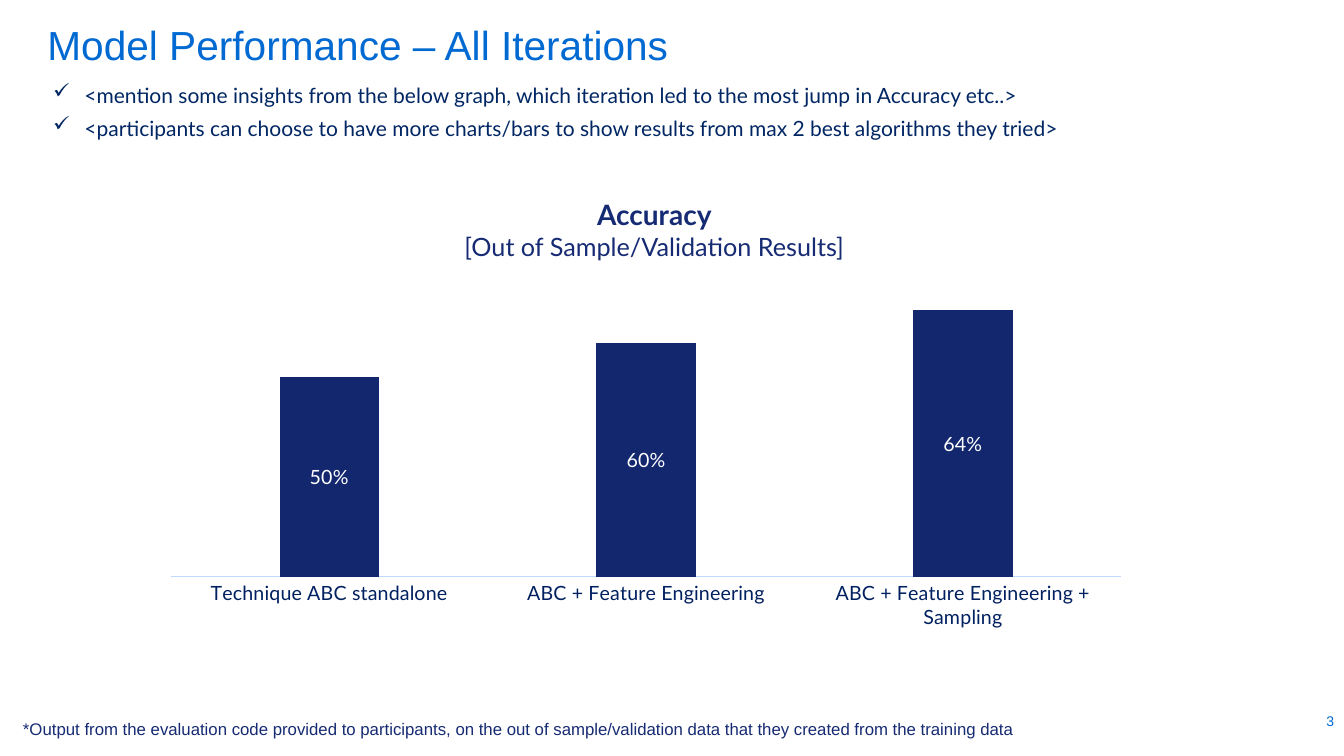
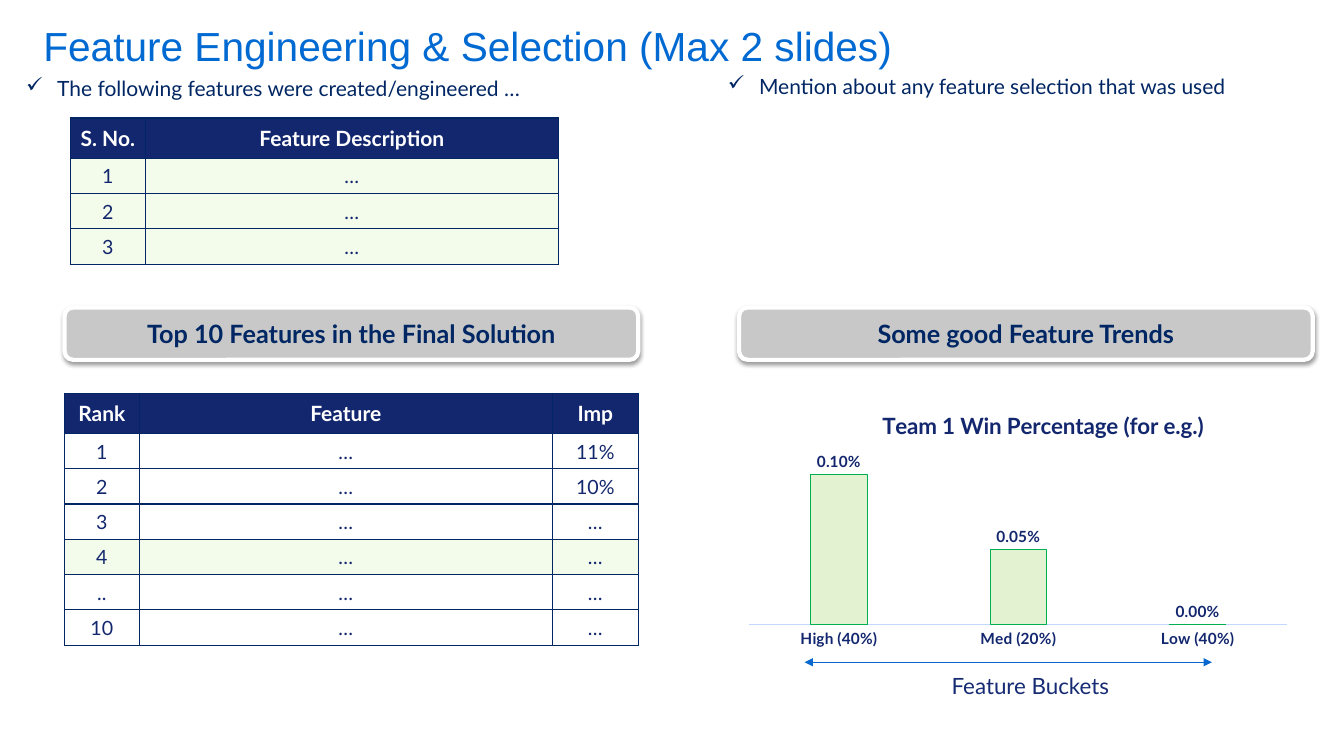
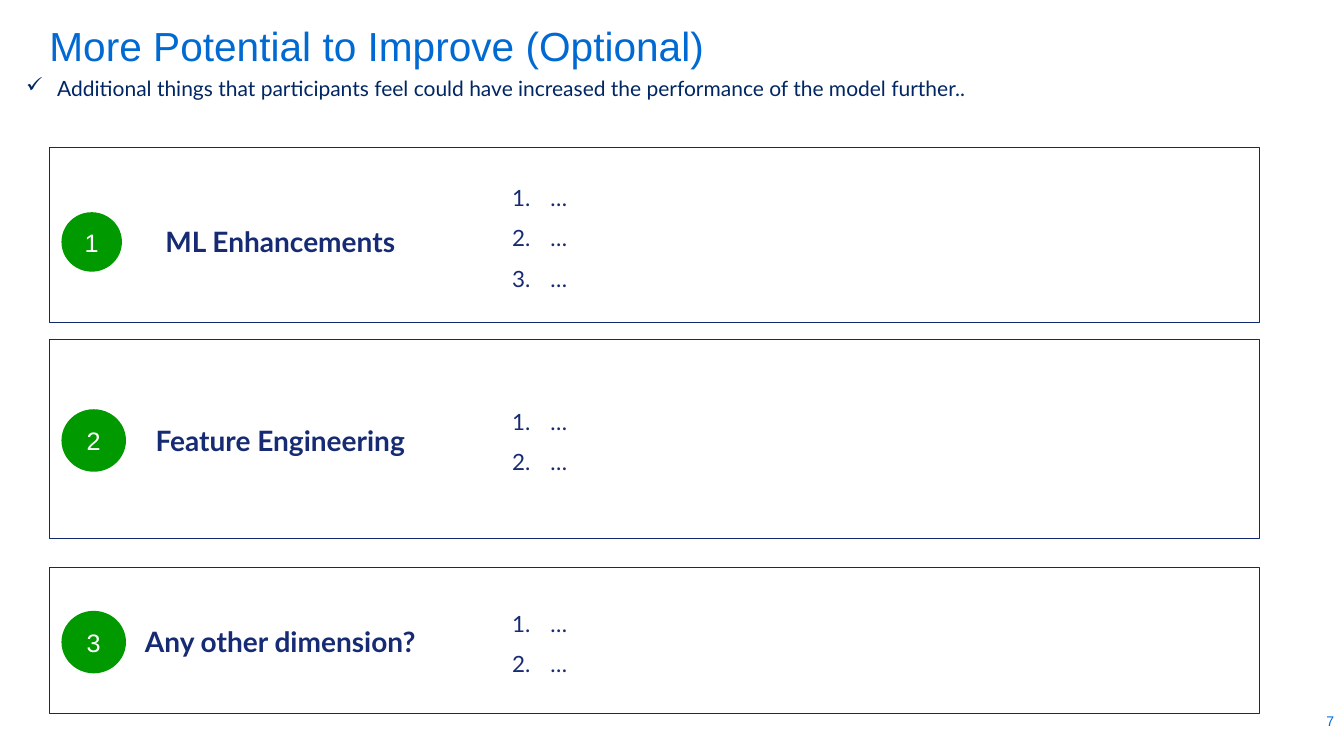
from lxml.etree import SubElement
from pptx import Presentation
from pptx.chart.data import CategoryChartData
from pptx.dml.color import RGBColor
from pptx.enum.chart import XL_CHART_TYPE, XL_LABEL_POSITION, XL_TICK_MARK
from pptx.enum.shapes import MSO_CONNECTOR, MSO_SHAPE
from pptx.enum.text import MSO_ANCHOR, MSO_AUTO_SIZE, PP_ALIGN
from pptx.oxml import parse_xml
from pptx.oxml.ns import nsdecls, qn
from pptx.util import Inches, Pt

BRIGHT_BLUE = RGBColor(0x00, 0x6A, 0xD2)
ARROW_BLUE = RGBColor(0x09, 0x68, 0xCE)
AXIS_BLUE = RGBColor(0xC1, 0xD9, 0xFF)
INK = RGBColor(0x00, 0x26, 0x63)
AXIS_INK = RGBColor(0x00, 0x20, 0x60)
NAVY = RGBColor(0x13, 0x27, 0x6E)
INDIGO = RGBColor(0x16, 0x2B, 0x73)
WHITE = RGBColor(0xFF, 0xFF, 0xFF)
GREY = RGBColor(0xC7, 0xC8, 0xC7)
PALE_GREEN = RGBColor(0xF3, 0xFB, 0xEB)
BAR_GREEN = RGBColor(0xE3, 0xF3, 0xD1)
EDGE_GREEN = RGBColor(0x00, 0xB0, 0x50)
BADGE_GREEN = RGBColor(0x00, 0x99, 0x00)
HEADING_FONT = "Arial"
BODY_FONT = "Lato"
CENTER = PP_ALIGN.CENTER


def style_font(font, size, color, name=BODY_FONT, bold=False):
    font.size = Pt(size)
    font.color.rgb = color
    font.name = name
    font.bold = bold


def write(shape, lines, size, color, name=BODY_FONT, bold=False, align=PP_ALIGN.LEFT,
          anchor=MSO_ANCHOR.TOP, inset=None):
    frame = shape.text_frame
    frame.text = "\n".join(lines)
    frame.word_wrap = True
    frame.auto_size = MSO_AUTO_SIZE.NONE
    frame.vertical_anchor = anchor
    if inset is not None:
        frame.margin_left = frame.margin_right = Inches(inset)
        frame.margin_top = frame.margin_bottom = Inches(inset)
    for paragraph in frame.paragraphs:
        paragraph.alignment = align
        for run in paragraph.runs:
            style_font(run.font, size, color, name, bold)
    return frame


def add_text(slide, box, lines, size, color, **options):
    textbox = slide.shapes.add_textbox(*map(Inches, box))
    return write(textbox, lines, size, color, **options)


def hang(paragraph, indent, tag, **attributes):
    properties = paragraph._p.get_or_add_pPr()
    properties.set("marL", str(Inches(indent)))
    properties.set("indent", str(-Inches(indent)))
    SubElement(properties, qn(tag), attributes)


def add_titled_slide(deck, title, left, top):
    slide = deck.slides.add_slide(deck.slide_layouts[5])
    heading = slide.shapes.title
    heading.left, heading.top = Inches(left), Inches(top)
    heading.width, heading.height = Inches(12), Inches(0.44)
    frame = write(heading, [title], 29, BRIGHT_BLUE, name=HEADING_FONT, inset=0)
    frame.paragraphs[0].line_spacing = 0.82
    return slide


def add_page_number(slide, number):
    add_text(slide, (12.18, 6.99, 1.15, 0.33), [number], 10, BRIGHT_BLUE,
             name=HEADING_FONT, align=PP_ALIGN.RIGHT, anchor=MSO_ANCHOR.MIDDLE)


def add_checks(slide, box, lines):
    for paragraph in add_text(slide, box, lines, 15, INK).paragraphs:
        paragraph.line_spacing = 1.1
        paragraph.space_after = Pt(4)
        hang(paragraph, 0.31, "a:buChar", char="✓")


def add_panel(slide, box, number, heading, item_count, row_middle, badge_size):
    left, top, width, height = box
    outline = slide.shapes.add_shape(MSO_SHAPE.RECTANGLE, *map(Inches, box))
    outline.shadow.inherit = False
    outline.fill.background()
    outline.line.color.rgb = NAVY
    outline.line.width = Pt(0.75)

    badge_width, badge_height = badge_size
    badge = slide.shapes.add_shape(
        MSO_SHAPE.OVAL, Inches(left + 0.12), Inches(row_middle - badge_height / 2),
        Inches(badge_width), Inches(badge_height))
    badge.shadow.inherit = False
    badge.fill.solid()
    badge.fill.fore_color.rgb = BADGE_GREEN
    badge.line.fill.background()
    write(badge, [number], 18, WHITE, name=HEADING_FONT, align=CENTER,
          anchor=MSO_ANCHOR.MIDDLE)

    add_text(slide, (left + 0.14, row_middle - 0.22, 4.3, 0.44), [heading], 20, INDIGO,
             bold=True, align=CENTER)
    list_height = 0.39 * item_count
    list_top = top + height / 2 - 0.05 - list_height / 2
    items = add_text(slide, (left + 4.59, list_top, 7.22, list_height),
                     ["…"] * item_count, 16, INDIGO, inset=0)
    for paragraph in items.paragraphs:
        paragraph.line_spacing = 1.5
        hang(paragraph, 0.38, "a:buAutoNum", type="arabicPeriod")


def add_banner(slide, box, caption):
    banner = slide.shapes.add_shape(MSO_SHAPE.ROUNDED_RECTANGLE, *map(Inches, box))
    banner.shadow.inherit = False
    banner.fill.solid()
    banner.fill.fore_color.rgb = GREY
    banner.line.color.rgb = WHITE
    banner.line.width = Pt(3)
    effects = banner._element.spPr.find(qn("a:effectLst"))
    shadow = SubElement(effects, qn("a:outerShdw"), blurRad=str(Pt(3.1)),
                        dist=str(Pt(1.6)), dir="5400000", rotWithShape="0")
    black = SubElement(shadow, qn("a:srgbClr"), val="000000")
    SubElement(black, qn("a:alpha"), val="38000")
    write(banner, [caption], 18, INK, bold=True, align=CENTER, anchor=MSO_ANCHOR.MIDDLE)


def add_borders(cell):
    properties = cell._tc.get_or_add_tcPr()
    for position, side in enumerate(("L", "R", "T", "B")):
        properties.insert(position, parse_xml(
            f'<a:ln{side} {nsdecls("a")} w="{Pt(1)}"><a:solidFill>'
            f'<a:srgbClr val="{INK}"/></a:solidFill></a:ln{side}>'))


def add_feature_table(slide, left, top, widths, rows, green_rows):
    heights = [0.4] + [0.35] * (len(rows) - 1)
    table = slide.shapes.add_table(len(rows), len(widths), Inches(left), Inches(top),
                                   Inches(sum(widths)), Inches(sum(heights))).table
    table.horz_banding = False
    for column, width in zip(table.columns, widths):
        column.width = Inches(width)
    for index, (row, height, values) in enumerate(zip(table.rows, heights, rows)):
        row.height = Inches(height)
        for cell, value in zip(row.cells, values):
            header = index == 0
            cell.text = value
            cell.vertical_anchor = MSO_ANCHOR.MIDDLE
            cell.margin_left = cell.margin_right = cell.margin_top = Inches(0.01)
            cell.margin_bottom = 0
            paragraph = cell.text_frame.paragraphs[0]
            paragraph.alignment = CENTER
            style_font(paragraph.runs[0].font, 15 if header else 14,
                       WHITE if header else NAVY, bold=header)
            if header or index in green_rows:
                cell.fill.solid()
                cell.fill.fore_color.rgb = NAVY if header else PALE_GREEN
            else:
                cell.fill.background()
            add_borders(cell)


def place_in_chart(element, position, **fractions):
    for layout in element.findall(qn("c:layout")):
        element.remove(layout)
    layout = element.makeelement(qn("c:layout"))
    element.insert(position, layout)
    manual = SubElement(layout, qn("c:manualLayout"))
    if "w" in fractions:
        SubElement(manual, qn("c:layoutTarget"), val="inner")
    for axis in ("x", "y"):
        SubElement(manual, qn(f"c:{axis}Mode"), val="edge")
    for key, fraction in fractions.items():
        SubElement(manual, qn(f"c:{key}"), val=str(fraction))


def add_columns(slide, box, categories, values, maximum, color, plot_box):
    data = CategoryChartData(number_format="0.00%")
    data.categories = categories
    data.add_series("Series 1", values)
    chart = slide.shapes.add_chart(XL_CHART_TYPE.COLUMN_CLUSTERED,
                                   *map(Inches, box), data).chart
    chart.has_legend = False
    chart.has_title = False
    style_font(chart.font, 10, INK, HEADING_FONT)
    value_axis = chart.value_axis
    value_axis.visible = False
    value_axis.has_major_gridlines = False
    value_axis.minimum_scale = 0
    value_axis.maximum_scale = maximum
    value_axis.tick_labels.number_format = "0.00%"
    value_axis.tick_labels.number_format_is_linked = False
    category_axis = chart.category_axis
    category_axis.major_tick_mark = XL_TICK_MARK.NONE
    category_axis.format.line.color.rgb = AXIS_BLUE
    category_axis.format.line.width = Pt(0.75)
    plot = chart.plots[0]
    plot.gap_width = 219
    plot.overlap = -27
    plot.vary_by_categories = False
    bars = plot.series[0]
    bars.format.fill.solid()
    bars.format.fill.fore_color.rgb = color
    labels = bars.data_labels
    labels.show_value = True
    labels.number_format = "0.00%"
    labels.number_format_is_linked = False
    place_in_chart(chart.element.find(".//" + qn("c:plotArea")), 0,
                   **dict(zip("xywh", plot_box)))
    return chart


def add_accuracy_chart(slide, box):
    chart = add_columns(
        slide, box,
        ["Technique ABC standalone", "ABC + Feature Engineering",
         "ABC + Feature Engineering + Sampling"],
        [0.0006, 0.0007, 0.0008], 0.0009, NAVY, (0.02, 0.04, 0.97, 0.78))
    style_font(chart.category_axis.tick_labels.font, 14, AXIS_INK)
    bars = chart.plots[0].series[0]
    bars.data_labels.position = XL_LABEL_POSITION.CENTER
    style_font(bars.data_labels.font, 14, WHITE)
    for index, share in enumerate(("50%", "60%", "64%")):
        label = bars.points[index].data_label
        label.text_frame.text = share
        style_font(label.text_frame.paragraphs[0].runs[0].font, 14, WHITE)
        label.position = XL_LABEL_POSITION.CENTER


def add_trend_chart(slide, box):
    chart = add_columns(
        slide, box, ["High (40%)", "Med (20%)", "Low (40%)"],
        [0.001, 0.0005, 0], 0.0012, BAR_GREEN, (0.02, 0.2, 0.96, 0.69))
    style_font(chart.category_axis.tick_labels.font, 11, NAVY, bold=True)
    bars = chart.plots[0].series[0]
    bars.format.line.color.rgb = EDGE_GREEN
    bars.format.line.width = Pt(0.75)
    bars.data_labels.position = XL_LABEL_POSITION.OUTSIDE_END
    style_font(bars.data_labels.font, 11, NAVY, bold=True)
    title = chart.chart_title
    title.text_frame.text = "Team 1 Win Percentage (for e.g.)"
    style_font(title.text_frame.paragraphs[0].runs[0].font, 16, NAVY, bold=True)
    place_in_chart(title.element, 1, x=0.25, y=0.05)


def add_bucket_arrow(slide, left, right, top):
    arrow = slide.shapes.add_connector(MSO_CONNECTOR.STRAIGHT, Inches(left), Inches(top),
                                       Inches(right), Inches(top))
    arrow.line.color.rgb = ARROW_BLUE
    arrow.line.width = Pt(1)
    line = arrow.line._get_or_add_ln()
    for end in ("a:headEnd", "a:tailEnd"):
        SubElement(line, qn(end), type="triangle")
    SubElement(arrow._element.spPr, qn("a:effectLst"))


def build_performance(deck):
    slide = add_titled_slide(deck, "Model Performance – All Iterations", 0.47, 0.28)
    add_checks(slide, (0.43, 0.74, 12.9, 0.7), [
        "<mention some insights from the below graph, which iteration led to the most "
        "jump in Accuracy etc..>",
        "<participants can choose to have more charts/bars to show results from max 2 "
        "best algorithms they tried>"])
    caption = add_text(slide, (3.46, 1.96, 6.06, 0.64),
                       ["Accuracy", "[Out of Sample/Validation Results]"], 18, INDIGO,
                       align=CENTER, inset=0)
    style_font(caption.paragraphs[0].runs[0].font, 20, INDIGO, bold=True)
    add_accuracy_chart(slide, (1.5, 2.59, 9.72, 3.82))
    add_text(slide, (0.13, 7.14, 10.76, 0.18), [
        "*Output from the evaluation code provided to participants, on the out of "
        "sample/validation data that they created from the training data"],
        12, INDIGO, name=HEADING_FONT, anchor=MSO_ANCHOR.MIDDLE)
    add_page_number(slide, "3")


def build_features(deck):
    slide = add_titled_slide(deck, "Feature Engineering & Selection (Max 2 slides)", 0.43, 0.29)
    add_checks(slide, (0.16, 0.68, 6.5, 0.36),
               ["The following features were created/engineered …"])
    add_checks(slide, (7.12, 0.66, 5.76, 0.36),
               ["Mention about any feature selection that was used"])
    add_feature_table(slide, 0.7, 1.17, [0.74, 4.1],
                      [("S. No.", "Feature Description"), ("1", "…"), ("2", "…"), ("3", "…")],
                      green_rows=(1, 2, 3))
    add_banner(slide, (0.64, 3.05, 5.69, 0.52), "Top 10 Features in the Final Solution")
    add_banner(slide, (7.33, 3.05, 5.69, 0.52), "Some good Feature Trends")
    add_feature_table(slide, 0.64, 3.9, [0.74, 4.1, 0.85],
                      [("Rank", "Feature", "Imp"), ("1", "…", "11%"), ("2", "…", "10%"),
                       ("3", "…", "…"), ("4", "…", "…"), ("..", "…", "…"), ("10", "…", "…")],
                      green_rows=(4,))
    add_trend_chart(slide, (7.32, 3.9, 5.56, 2.58))
    add_bucket_arrow(slide, 7.98, 12.02, 6.57)
    add_text(slide, (8.85, 6.65, 2.74, 0.31), ["Feature Buckets"], 16, INDIGO,
             align=CENTER, anchor=MSO_ANCHOR.MIDDLE)


def build_improvements(deck):
    slide = add_titled_slide(deck, "More Potential to Improve (Optional)", 0.49, 0.29)
    add_checks(slide, (0.16, 0.68, 13.17, 0.36), [
        "Additional things that participants feel could have increased the performance "
        "of the model further.."])
    panels = [
        (1.46, 1.74, "ML Enhancements", 3, 2.4, (0.6, 0.59)),
        (3.37, 1.97, "Feature Engineering", 2, 4.37, (0.64, 0.62)),
        (5.63, 1.45, "Any other dimension?", 2, 6.37, (0.64, 0.62)),
    ]
    for number, (top, height, *content) in enumerate(panels, 1):
        add_panel(slide, (0.49, top, 12, height), str(number), *content)
    add_page_number(slide, "7")


def main():
    deck = Presentation()
    deck.slide_width, deck.slide_height = Inches(13.33), Inches(7.5)
    build_performance(deck)
    build_features(deck)
    build_improvements(deck)
    deck.save("out.pptx")


if __name__ == "__main__":
    main()
